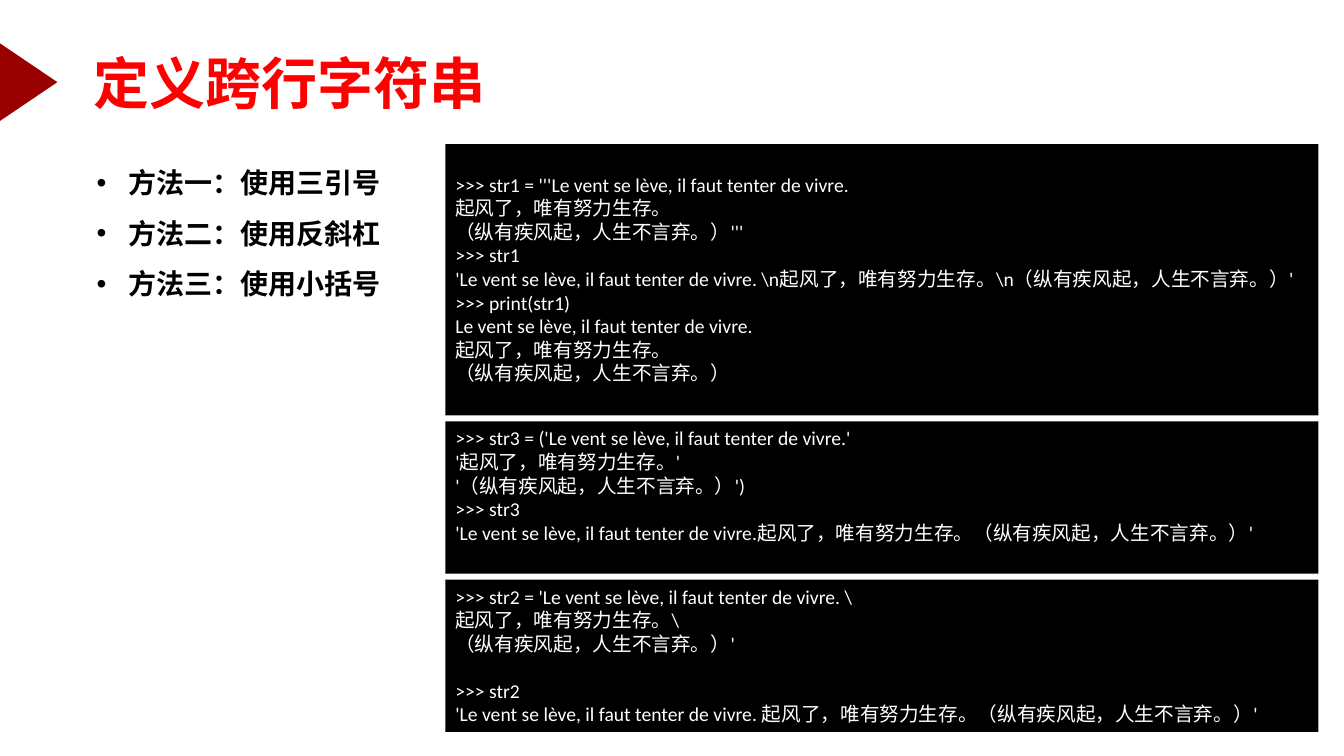
from lxml import etree
from pptx import Presentation
from pptx.dml.color import RGBColor
from pptx.enum.shapes import MSO_SHAPE
from pptx.enum.text import MSO_ANCHOR, MSO_AUTO_SIZE, PP_ALIGN
from pptx.oxml.ns import qn
from pptx.util import Pt

RECTANGLE = MSO_SHAPE.RECTANGLE
TRIANGLE = MSO_SHAPE.ISOSCELES_TRIANGLE
TOP = MSO_ANCHOR.TOP
NO_FIT = MSO_AUTO_SIZE.NONE
LEFT = PP_ALIGN.LEFT

FRENCH = "Le vent se lève, il faut tenter de vivre."
WIND = "起风了，唯有努力生存。"
STORM = "（纵有疾风起，人生不言弃。）"


def color(value):
    return RGBColor.from_string(value)


class SlideBuilder:
    latin = "Calibri"
    east_asian = "Noto Sans CJK JP"
    code_line = 16.8

    def __init__(self, slide):
        self.slide = slide

    def set_frame(self, frame, **values):
        settings = {"word_wrap": True, "auto_size": NO_FIT, "vertical_anchor": TOP}
        for name, value in (settings | values).items():
            setattr(frame, name, value)

    def add_text(self, paragraph, text, size, fill, bold=False, font_name=latin, **formats):
        for name, value in ({"alignment": LEFT} | formats).items():
            setattr(paragraph, name, value)
        run = paragraph.add_run()
        run.text = text
        for name, value in {"size": Pt(size), "bold": bold, "name": font_name}.items():
            setattr(run.font, name, value)
        run.font.color.rgb = color(fill)
        properties = run._r.get_or_add_rPr()
        etree.SubElement(properties, qn("a:ea"), typeface=self.east_asian)

    def title(self, text, left, top, width, height):
        shape = self.slide.shapes.title
        box = {"left": left, "top": top, "width": width, "height": height}
        for name, value in box.items():
            setattr(shape, name, Pt(value))
        self.set_frame(shape.text_frame, word_wrap=False)
        paragraph = shape.text_frame.paragraphs[0]
        self.add_text(paragraph, text, 40, "FF0000", True, self.east_asian)

    def shape(self, kind, left, top, width, height, fill):
        shape = self.slide.shapes.add_shape(kind, Pt(left), Pt(top), Pt(width), Pt(height))
        shape.shadow.inherit = False
        shape.fill.solid()
        shape.fill.fore_color.rgb = color(fill)
        shape.line.fill.background()
        return shape

    def bullets(self, lines, left, top, width, height):
        box = self.slide.shapes.add_textbox(Pt(left), Pt(top), Pt(width), Pt(height))
        frame = box.text_frame
        self.set_frame(frame)
        for index, line in enumerate(lines):
            paragraph = frame.add_paragraph() if index else frame.paragraphs[0]
            properties = paragraph._p.get_or_add_pPr()
            properties.set("marL", str(Pt(22.5)))
            properties.set("indent", str(-Pt(22.5)))
            etree.SubElement(properties, qn("a:buFont"), typeface="Arial")
            etree.SubElement(properties, qn("a:buChar"), char="•")
            self.add_text(paragraph, line, 20, "000000", True, line_spacing=1.5)

    def code(self, lines, left, top, width, height, lead=0, gap_before=None):
        frame = self.shape(RECTANGLE, left, top, width, height, "000000").text_frame
        self.set_frame(frame, margin_top=Pt(3.6 + lead * self.code_line))
        for index, line in enumerate(lines):
            paragraph = frame.add_paragraph() if index else frame.paragraphs[0]
            gap = self.code_line if index == gap_before else 0
            self.add_text(paragraph, line, 14, "FFFFFF", space_before=Pt(gap))


def main():
    presentation = Presentation()
    presentation.slide_width = Pt(960)
    presentation.slide_height = Pt(540)
    builder = SlideBuilder(presentation.slides.add_slide(presentation.slide_layouts[5]))

    builder.title("定义跨行字符串", 59.8, 31, 294.5, 55.4)
    arrow = builder.shape(TRIANGLE, -7.2, 38.2, 55.4, 41, "990000")
    arrow.rotation = 90
    methods = ["三引号", "反斜杠", "小括号"]
    lines = [f"方法{number}：使用{method}" for number, method in zip("一二三", methods)]
    builder.bullets(lines, 61.9, 103, 424, 116)

    triple_quotes = [
        f">>> str1 = '''{FRENCH}",
        WIND,
        f"{STORM}'''",
        ">>> str1",
        f"'{FRENCH} \\n{WIND}\\n{STORM}'",
        ">>> print(str1)",
        FRENCH,
        WIND,
        STORM,
    ]
    parentheses = [
        f">>> str3 = ('{FRENCH}'",
        f"'{WIND}'",
        f"'{STORM}')",
        ">>> str3",
        f"'{FRENCH}{WIND}{STORM}'",
    ]
    backslashes = [
        f">>> str2 = '{FRENCH} \\",
        f"{WIND}\\",
        f"{STORM}'",
        ">>> str2",
        f"'{FRENCH} {WIND}{STORM}'",
    ]
    examples = [
        (triple_quotes, 193.7, {"lead": 1}),
        (parentheses, 108.7, {}),
        (backslashes, 108.7, {"gap_before": 3}),
    ]
    top = 103
    for lines, height, options in examples:
        builder.code(lines, 318.2, top, 623.5, height, **options)
        top += height + 4.3

    presentation.save("out.pptx")


if __name__ == "__main__":
    main()
